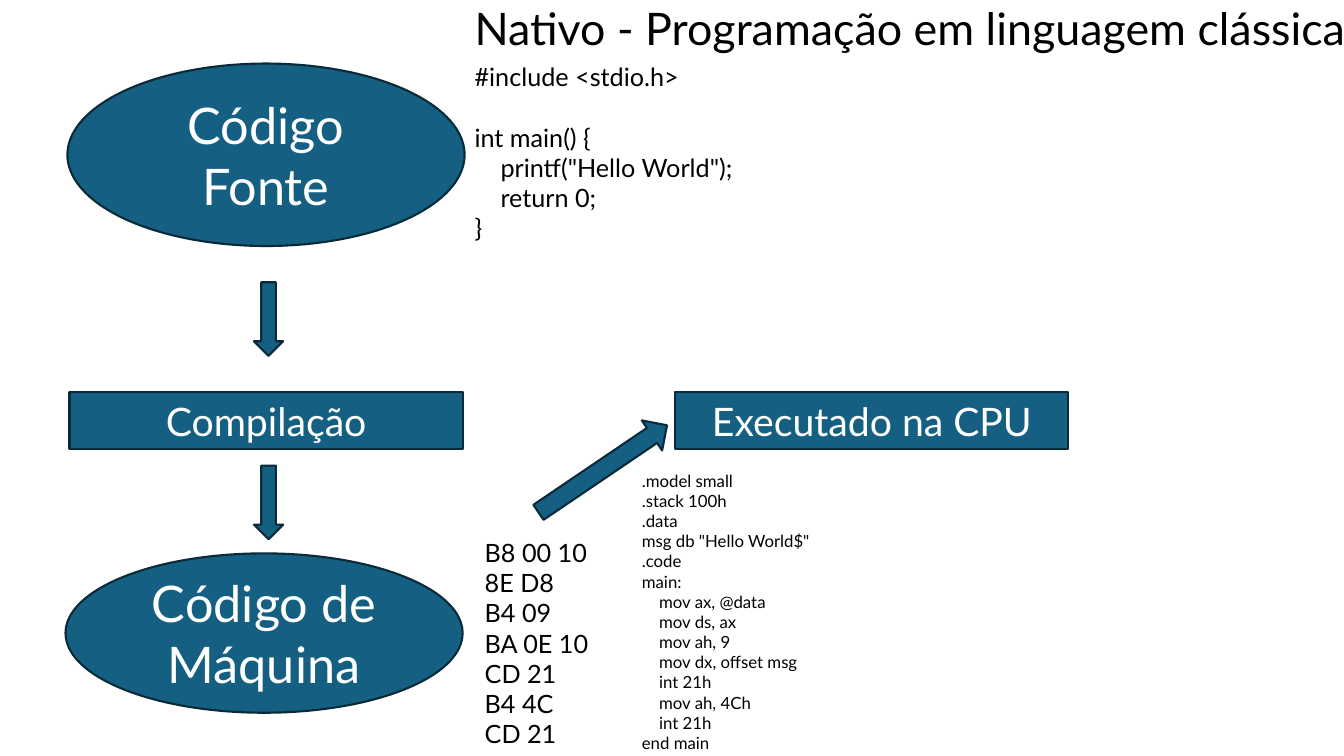
from pptx import Presentation
from pptx.dml.color import RGBColor
from pptx.enum import shapes, text
from pptx.util import Pt

THEME = {
    "font": "Lato",
    "fill": RGBColor(0x15, 0x60, 0x82),
    "line": RGBColor(0x09, 0x2A, 0x39),
    "light": RGBColor(0xFF, 0xFF, 0xFF),
    "dark": RGBColor(0, 0, 0),
    "title": 32, "oval": 36, "box": 28, "code": 18, "assembly": 12,
    "border": 1.5,
    "leading": 1.2,   # line height, in type sizes
    "indent": 1.03,   # one code level, in type sizes
}

# Content: code lines are (level, blank lines before, text)
TITLE = [(0, 0, "Nativo - Programação em linguagem clássica")]
SOURCE_CODE = [
    (0, 0, "#include <stdio.h>"),
    (0, 1, "int main() {"),
    (1, 0, 'printf("Hello World");'),
    (1, 0, "return 0;"),
    (0, 0, "}"),
]
MACHINE_CODE = [(0, 0, line) for line in (
    "B8 00 10", "8E D8", "B4 09", "BA 0E 10", "CD 21", "B4 4C", "CD 21")]
ASSEMBLY_HEAD = [".model small", ".stack 100h", ".data",
                 'msg db "Hello World$"', ".code", "main:"]
ASSEMBLY_BODY = ["mov ax, @data", "mov ds, ax", "mov ah, 9",
                 "mov dx, offset msg", "int 21h", "mov ah, 4Ch", "int 21h"]
ASSEMBLY = ([(0, 0, line) for line in ASSEMBLY_HEAD]
            + [(1, 0, line) for line in ASSEMBLY_BODY]
            + [(0, 0, "end main")])

# Layout, in points: left, top, width, height
STEP_ROW, STEP_SIZE = 280.1, (280.8, 41)
ARROW_LEFT, ARROW_SIZE = 181.4, (20.9, 52.6)
OVAL, BOX, ARROW = (shapes.MSO_SHAPE.OVAL, shapes.MSO_SHAPE.RECTANGLE,
                    shapes.MSO_SHAPE.DOWN_ARROW)
FLOW = [  # kind, frame, rotation, label, type size
    (OVAL, (48.2, 45.4, 283.7, 130.3), 0, "Código Fonte", "oval"),
    (ARROW, (ARROW_LEFT, 201.6, *ARROW_SIZE), 0, "", "box"),
    (BOX, (49.7, STEP_ROW, *STEP_SIZE), 0, "Compilação", "box"),
    (ARROW, (ARROW_LEFT, 332.6, *ARROW_SIZE), 0, "", "box"),
    (OVAL, (46.8, 395.3, 283.7, 113.8), 0, "Código de Máquina", "oval"),
    (ARROW, (417.6, 279.4, 25.9, 110.9), 235.9, "", "box"),
    (BOX, (482.4, STEP_ROW, *STEP_SIZE), 0, "Executado na CPU", "box"),
]
LISTINGS = [  # lines, frame, type size, wrap
    (SOURCE_CODE, (331.9, 40.3, 217.4, 138.2), "code", True),
    (MACHINE_CODE, (339.1, 380.2, 118.8, 159.8), "code", True),
    (ASSEMBLY, (451.4, 332.6, 171.4, 211), "assembly", True),
    (TITLE, (331.9, -2.9, 638.6, 46.1), "title", False),
]


def style(paragraph, size, color):
    paragraph.font.name = THEME["font"]
    paragraph.font.size = Pt(THEME[size])
    paragraph.font.color.rgb = THEME[color]


def add_flow_part(slide, kind, frame, rotation, label, size):
    part = slide.shapes.add_shape(kind, *map(Pt, frame))
    part.rotation = rotation
    part.shadow.inherit = False
    part.fill.solid()
    part.fill.fore_color.rgb = THEME["fill"]
    part.line.color.rgb = THEME["line"]
    part.line.width = Pt(THEME["border"])
    if label:
        part.text_frame.text = label
        part.text_frame.vertical_anchor = text.MSO_ANCHOR.MIDDLE
        caption = part.text_frame.paragraphs[0]
        caption.alignment = text.PP_ALIGN.CENTER
        style(caption, size, "light")


def add_listing(slide, lines, frame, size, wrap):
    body = slide.shapes.add_textbox(*map(Pt, frame)).text_frame
    body.word_wrap = wrap
    body.auto_size = text.MSO_AUTO_SIZE.SHAPE_TO_FIT_TEXT
    body.text = "\n".join(line for _, _, line in lines)
    for paragraph, (level, gap, _) in zip(body.paragraphs, lines):
        style(paragraph, size, "dark")
        if gap:
            paragraph.space_before = Pt(gap * THEME["leading"] * THEME[size])
        if level:
            indent = Pt(level * THEME["indent"] * THEME[size])
            paragraph._p.get_or_add_pPr().set("marL", str(indent))


def main():
    deck = Presentation()
    deck.slide_width, deck.slide_height = Pt(960), Pt(540)
    slide = deck.slides.add_slide(deck.slide_layouts[6])
    # Compilation flow
    for part in FLOW:
        add_flow_part(slide, *part)
    # Code listings and title
    for listing in LISTINGS:
        add_listing(slide, *listing)
    deck.save("out.pptx")


if __name__ == "__main__":
    main()
